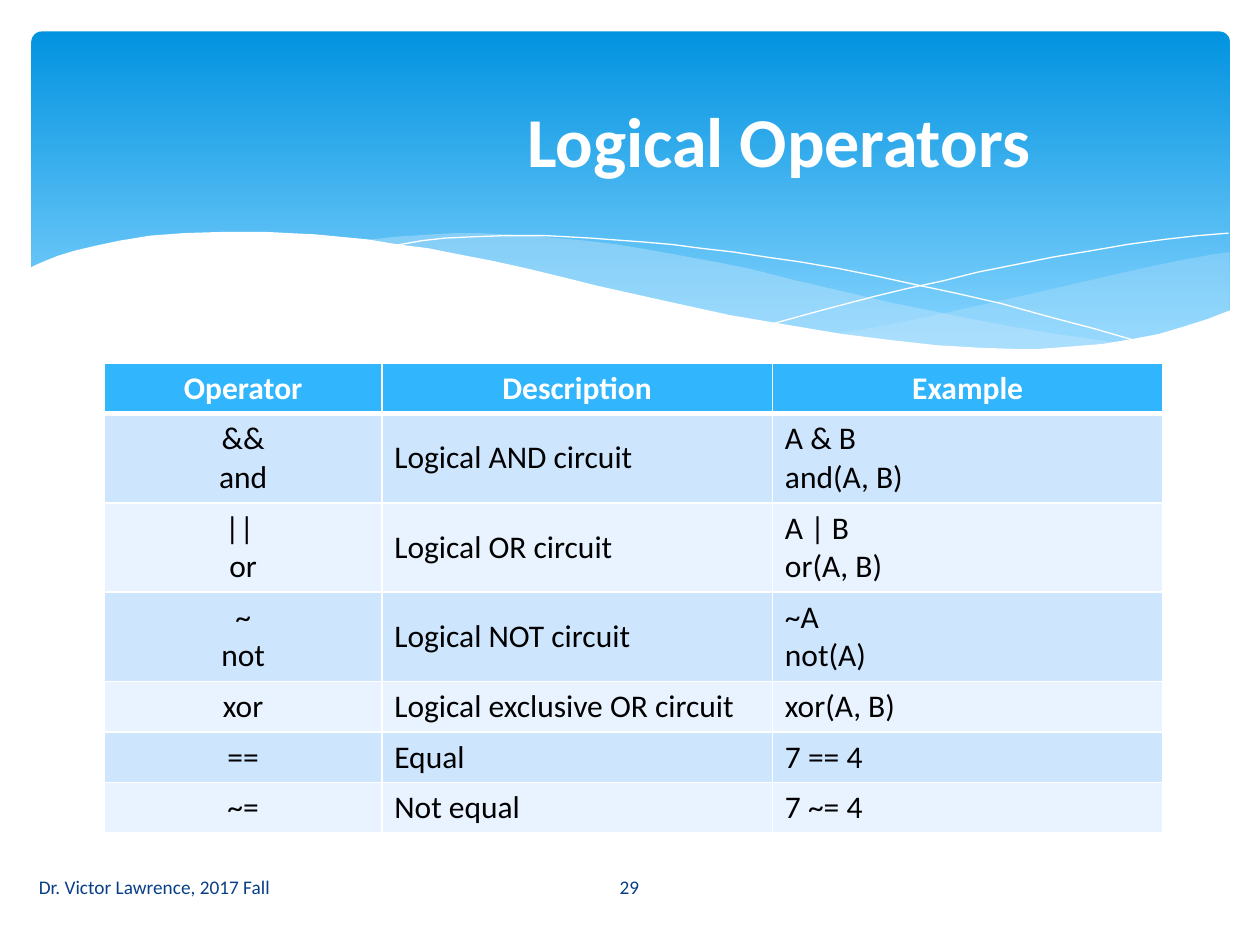
"""Build the Logical Operators slide with its wave banner and operator table."""
from lxml import etree
from pptx import Presentation
from pptx.dml.color import RGBColor
from pptx.enum.shapes import MSO_SHAPE
from pptx.enum.text import MSO_ANCHOR, PP_ALIGN
from pptx.oxml.ns import qn
from pptx.util import Inches, Pt

ROUNDED = MSO_SHAPE.ROUNDED_RECTANGLE
TOP, MIDDLE = MSO_ANCHOR.TOP, MSO_ANCHOR.MIDDLE
LEFT, CENTER = PP_ALIGN.LEFT, PP_ALIGN.CENTER

WHITE = RGBColor(0xFF, 0xFF, 0xFF)
BLACK = RGBColor(0x00, 0x00, 0x00)
BANNER_TOP = RGBColor(0x02, 0x93, 0xE0)
BANNER_BOTTOM = RGBColor(0x83, 0xD3, 0xFE)
WAVE_BLUE = RGBColor(0xC6, 0xE7, 0xFC)
FOOTER_BLUE = RGBColor(0x07, 0x3E, 0x87)
HEADER_BLUE = RGBColor(0x31, 0xB6, 0xFD)
BAND_DARK = RGBColor(0xCE, 0xE5, 0xFE)
BAND_LIGHT = RGBColor(0xE8, 0xF3, 0xFF)

RIGHT_WAVE = [
    (9.76, 2), (9.62, 2.02), (9.35, 2.07), (9.06, 2.13), (8.76, 2.2), (8.32, 2.3),
    (7.79, 2.42), (7.29, 2.53), (6.83, 2.62), (6.61, 2.65), (6.91, 2.69), (7.19, 2.72),
    (7.45, 2.75), (7.69, 2.77), (8.03, 2.78), (8.35, 2.77), (8.63, 2.75), (8.89, 2.72),
    (9.13, 2.67), (9.35, 2.62), (9.49, 2.57), (9.63, 2.52), (9.76, 2.47),
]
MIDDLE_WAVE = [
    (8.93, 2.73), (8.66, 2.69), (8.37, 2.65), (8.07, 2.6), (7.75, 2.54), (7.41, 2.47),
    (7.06, 2.4), (6.68, 2.31), (6.29, 2.22), (5.98, 2.14), (5.69, 2.08), (5.41, 2.03),
    (5.14, 1.98), (4.89, 1.94), (4.65, 1.91), (4.42, 1.89), (4.2, 1.87), (3.99, 1.86),
    (3.8, 1.85), (3.61, 1.85), (3.44, 1.86), (3.13, 1.88), (2.86, 1.91), (3.23, 1.96),
    (3.62, 2.03), (4.04, 2.11), (4.49, 2.22), (4.91, 2.32), (5.3, 2.4), (5.66, 2.48),
    (6.01, 2.55), (6.34, 2.61), (6.65, 2.66), (6.95, 2.7), (7.22, 2.74), (7.48, 2.76),
    (7.73, 2.77), (7.96, 2.78), (8.28, 2.78), (8.57, 2.77), (8.76, 2.75),
]
FALLING_LINE = [
    (3.09, 1.95), (3.18, 1.94), (3.35, 1.91), (3.53, 1.89), (3.74, 1.88), (4.01, 1.87),
    (4.33, 1.87), (4.69, 1.89), (5.1, 1.92), (5.33, 1.94), (5.56, 1.97), (5.82, 2),
    (6.08, 2.04), (6.36, 2.08), (6.65, 2.13), (6.95, 2.19), (7.27, 2.26), (7.6, 2.33),
    (7.95, 2.41), (8.31, 2.51), (8.69, 2.61), (9.07, 2.72),
]
RISING_LINE = [
    (6.13, 2.57), (6.53, 2.46), (6.95, 2.35), (7.2, 2.29), (7.48, 2.23), (7.76, 2.16),
    (8.06, 2.1), (8.36, 2.04), (8.66, 1.99), (8.95, 1.94), (9.24, 1.9), (9.51, 1.87),
    (9.75, 1.85),
]
WHITE_WAVE = [
    (9.77, 2.46), (9.59, 2.53), (9.4, 2.59), (9.2, 2.65), (8.99, 2.69), (8.75, 2.73),
    (8.5, 2.75), (8.23, 2.77), (8.09, 2.77), (7.78, 2.76), (7.44, 2.74), (7.08, 2.7),
    (6.68, 2.65), (6.26, 2.58), (5.79, 2.5), (5.29, 2.39), (4.75, 2.27), (4.47, 2.2),
    (4.18, 2.13), (3.91, 2.07), (3.65, 2.02), (3.4, 1.97), (3.16, 1.94), (2.92, 1.9),
    (2.71, 1.88), (2.5, 1.86), (2.3, 1.85), (2.11, 1.84), (1.77, 1.84), (1.46, 1.85),
    (1.19, 1.87), (0.95, 1.91), (0.76, 1.95), (0.59, 1.99), (0.46, 2.03), (0.36, 2.07),
    (0.29, 2.1), (0.23, 2.13), (0.23, 3.29), (9.77, 3.29),
]
CURVES = [
    (RIGHT_WAVE, WAVE_BLUE, 29),
    (MIDDLE_WAVE, WAVE_BLUE, 40),
    (FALLING_LINE, None, 100),
    (RISING_LINE, None, 100),
    (WHITE_WAVE, WHITE, 100),
]
FOOTERS = [
    ("29", 4.36, 1.27, CENTER),
    ("Dr. Victor Lawrence, 2017 Fall", 0.21, 4.14, LEFT),
]
OPERATORS = [
    ("Operator", "Description", "Example"),
    ("&&\nand", "Logical AND circuit", "A & B\nand(A, B)"),
    ("|| \nor", "Logical OR circuit", "A | B\nor(A, B)"),
    ("~\nnot", "Logical NOT circuit", "~A\nnot(A)"),
    ("xor", "Logical exclusive OR circuit", "xor(A, B)"),
    ("==", "Equal", "7 == 4"),
    ("~=", "Not equal", "7 ~= 4"),
]
COLUMN_WIDTHS = [2.2, 3.1, 3.1]


def format_text(text_frame, size, color, alignment, bold=False):
    for paragraph in text_frame.paragraphs:
        paragraph.alignment = alignment
        for run in paragraph.runs:
            run.font.name = "Calibri"
            run.font.size = Pt(size)
            run.font.bold = bold
            run.font.color.rgb = color


def add_border(cell, side, width):
    properties = cell._tc.get_or_add_tcPr()
    border = etree.SubElement(properties, qn(f"a:ln{side}"), w=str(Pt(width)))
    fill = etree.SubElement(border, qn("a:solidFill"))
    etree.SubElement(fill, qn("a:srgbClr"), val=str(WHITE))


presentation = Presentation()
presentation.slide_width = Inches(10)
presentation.slide_height = Inches(7.5)
slide = presentation.slides.add_slide(presentation.slide_layouts[5])

banner = slide.shapes.add_shape(ROUNDED, Inches(0.25), Inches(0.25), Inches(9.51), Inches(2.7))
banner.adjustments[0] = 0.03
banner.shadow.inherit = False
banner.line.fill.background()
banner.fill.gradient()
banner.fill.gradient_angle = 270
for stop, position, color in zip(
    banner.fill.gradient_stops, (0, 0.9), (BANNER_TOP, BANNER_BOTTOM)
):
    stop.position = position
    stop.color.rgb = color

for points, color, opacity in CURVES:
    corners = [(Inches(x), Inches(y)) for x, y in points]
    builder = slide.shapes.build_freeform(*corners[0])
    builder.add_line_segments(corners[1:], close=color is not None)
    curve = builder.convert_to_shape()
    curve.shadow.inherit = False
    if color is None:
        curve.fill.background()
        curve.line.color.rgb = WHITE
        curve.line.width = Pt(0)
        continue
    curve.line.fill.background()
    curve.fill.solid()
    curve.fill.fore_color.rgb = color
    if opacity < 100:
        fill_color = curve.element.spPr.find(qn("a:solidFill"))[0]
        etree.SubElement(fill_color, qn("a:alpha"), val=str(opacity * 1000))

title = slide.shapes.title
title.element.getparent().append(title.element)
title.left, title.top = Inches(2.75), Inches(0.42)
title.width, title.height = Inches(6.86), Inches(1.37)
title.text_frame.text = "Logical Operators"
title.text_frame.vertical_anchor = MIDDLE
format_text(title.text_frame, 40, WHITE, CENTER, bold=True)

for text, left, width, alignment in FOOTERS:
    footer = slide.shapes.add_textbox(Inches(left), Inches(6.84), Inches(width), Inches(0.4))
    footer.text_frame.word_wrap = True
    footer.text_frame.vertical_anchor = MIDDLE
    footer.text_frame.text = text
    format_text(footer.text_frame, 11, FOOTER_BLUE, alignment)

table = slide.shapes.add_table(
    len(OPERATORS), len(COLUMN_WIDTHS), Inches(0.83), Inches(2.88), Inches(8.4), Inches(3.7)
).table
for column, width in zip(table.columns, COLUMN_WIDTHS):
    column.width = Inches(width)
for row_index, texts in enumerate(OPERATORS):
    is_header = row_index == 0
    table.rows[row_index].height = Inches(0.71 if "\n" in texts[0] else 0.4)
    band = HEADER_BLUE if is_header else BAND_DARK if row_index % 2 else BAND_LIGHT
    for column_index, text in enumerate(texts):
        cell = table.cell(row_index, column_index)
        cell.text_frame.text = text
        cell.vertical_anchor = TOP if is_header else MIDDLE
        alignment = CENTER if is_header or column_index == 0 else LEFT
        format_text(cell.text_frame, 18, WHITE if is_header else BLACK, alignment, is_header)
        for side in "LRTB":
            under_header = (row_index, side) in ((0, "B"), (1, "T"))
            add_border(cell, side, 3 if under_header else 1)
        cell.fill.solid()
        cell.fill.fore_color.rgb = band

presentation.save("out.pptx")
